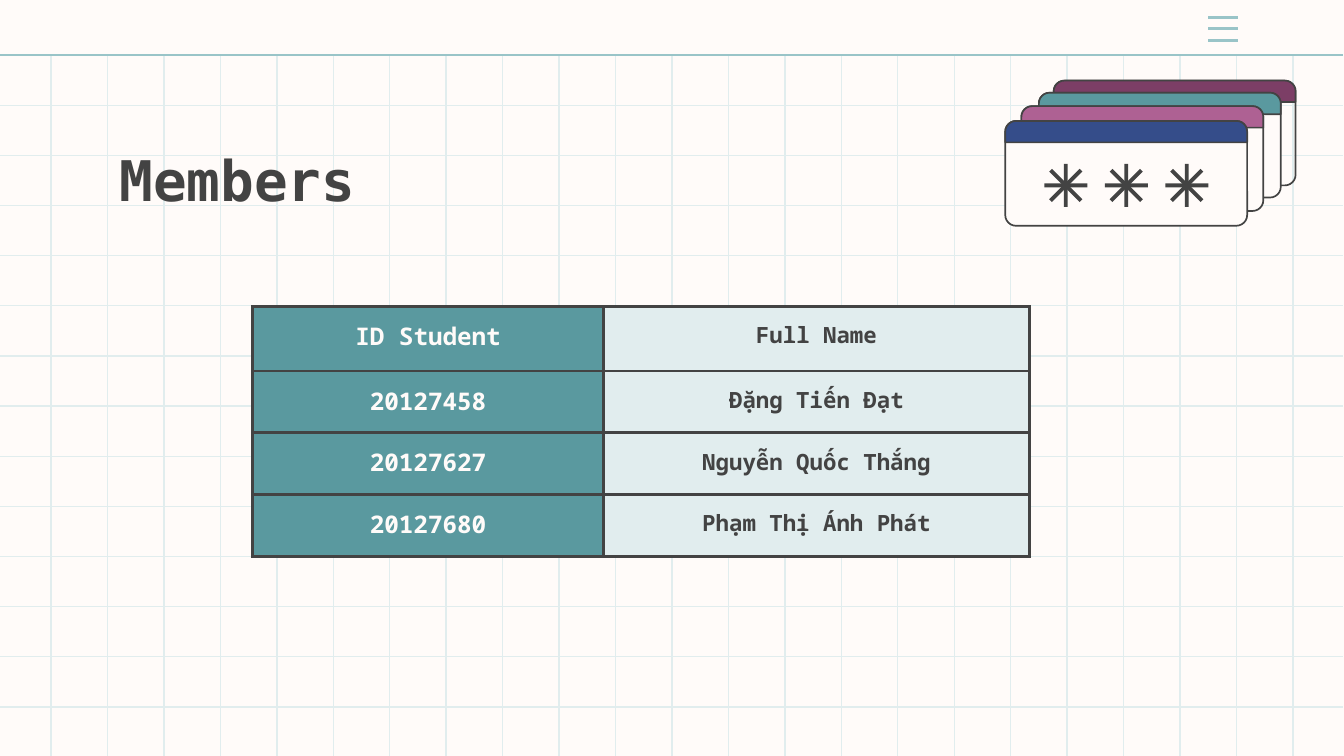
from dataclasses import dataclass

from lxml.etree import SubElement
from pptx import Presentation
from pptx.dml.color import RGBColor
from pptx.enum.shapes import MSO_CONNECTOR, MSO_SHAPE
from pptx.enum.text import MSO_ANCHOR, PP_ALIGN
from pptx.oxml import parse_xml
from pptx.oxml.ns import nsdecls, qn
from pptx.util import Inches, Pt


@dataclass(frozen=True)
class Theme:
    cream: str = "FFFBF9"
    ink: str = "434343"
    grid: str = "E1EDEE"
    accent: str = "99C4C8"
    teal: str = "5A999F"
    plum: str = "7C3E66"
    pink: str = "AE6193"
    navy: str = "354D8A"
    title_font: str = "DejaVu Sans Mono"
    table_font: str = "Noto Sans Mono"
    title_size: int = 30
    id_size: int = 13
    name_size: int = 12
    grid_width: float = 0.75
    accent_width: float = 1.5
    card_width: float = 0.9
    border_width: float = 1.5


THEME = Theme()

MEMBERS = [
    ("ID Student", "Full Name"),
    ("20127458", "Đặng Tiến Đạt"),
    ("20127627", "Nguyễn Quốc Thắng"),
    ("20127680", "Phạm Thị Ánh Phát"),
]


def color(value):
    return RGBColor.from_string(value)


def add_line(slide, start, end, line_color, width):
    points = [Inches(value) for value in (*start, *end)]
    connector = slide.shapes.add_connector(MSO_CONNECTOR.STRAIGHT, *points)
    connector.line.color.rgb = color(line_color)
    connector.line.width = Pt(width)
    SubElement(connector.element.spPr, qn("a:effectLst"))


def add_run(paragraph, text, font, size, text_color):
    run = paragraph.add_run()
    run.text = text
    run.font.name = font
    run.font.size = Pt(size)
    run.font.bold = True
    run.font.color.rgb = color(text_color)


def add_figure(slide, kind, box, fill, outlined=False):
    """Add a preset shape; a fill of None leaves it open."""
    shape = slide.shapes.add_shape(kind, *[Inches(value) for value in box])
    shape.shadow.inherit = False
    if fill:
        shape.fill.solid()
        shape.fill.fore_color.rgb = color(fill)
    else:
        shape.fill.background()
    if outlined:
        shape.line.color.rgb = color(THEME.ink)
        shape.line.width = Pt(THEME.card_width)
    else:
        shape.line.fill.background()
    return shape


def add_grid(slide):
    top, bottom, right = 0.41, 5.64, 9.99
    for column in range(23):
        x = 0.38 + 0.42 * column
        add_line(slide, (x, top), (x, bottom), THEME.grid, THEME.grid_width)
    row_step = (5.26 - top) / 13
    add_line(slide, (right, top), (0, top), THEME.accent, THEME.accent_width)
    for row in range(1, 14):
        y = top + row_step * row
        add_line(slide, (right, y), (0, y), THEME.grid, THEME.grid_width)


def add_menu_icon(slide):
    for y in (0.13, 0.21, 0.3):
        add_line(slide, (8.99, y), (9.21, y), THEME.accent, THEME.accent_width)


def add_title(slide, text):
    box = slide.shapes.add_textbox(Inches(0.79), Inches(0.98), Inches(3.69), Inches(0.63))
    frame = box.text_frame
    frame.word_wrap = True
    frame.vertical_anchor = MSO_ANCHOR.TOP
    frame.margin_left = frame.margin_right = Inches(0.1)
    frame.margin_top = frame.margin_bottom = Inches(0.1)
    add_run(frame.paragraphs[0], text, THEME.title_font, THEME.title_size, THEME.ink)


def set_borders(cell):
    properties = cell._tc.get_or_add_tcPr()
    for index, side in enumerate(("lnL", "lnR", "lnT", "lnB")):
        border = parse_xml(
            f'<a:{side} {nsdecls("a")} w="{Pt(THEME.border_width)}">'
            f'<a:solidFill><a:srgbClr val="{THEME.ink}"/></a:solidFill></a:{side}>'
        )
        properties.insert(index, border)


def fill_cell(cell, text, size, text_color, fill):
    cell.fill.solid()
    cell.fill.fore_color.rgb = color(fill)
    cell.margin_left = cell.margin_right = Inches(0.1)
    cell.margin_top = cell.margin_bottom = Inches(0.1)
    cell.vertical_anchor = MSO_ANCHOR.TOP
    paragraph = cell.text_frame.paragraphs[0]
    paragraph.alignment = PP_ALIGN.CENTER
    add_run(paragraph, text, THEME.table_font, size, text_color)
    set_borders(cell)


def add_members_table(slide):
    widths, heights = (2.61, 3.17), (0.48, 0.46, 0.46, 0.46)
    styles = [
        (THEME.id_size, THEME.cream, THEME.teal),
        (THEME.name_size, THEME.ink, THEME.grid),
    ]
    table = slide.shapes.add_table(
        len(MEMBERS), len(widths), Inches(1.88), Inches(2.28),
        Inches(sum(widths)), Inches(sum(heights)),
    ).table
    for column, width in zip(table.columns, widths):
        column.width = Inches(width)
    for row, height, member in zip(table.rows, heights, MEMBERS):
        row.height = Inches(height)
        for cell, text, style in zip(row.cells, member, styles):
            fill_cell(cell, text, *style)


def add_card(slide, left, top, header_fill, body_fill):
    """Add a window card: a rounded body under a coloured header bar."""
    width, height, header_height, radius = 1.8, 0.78, 0.16, 0.08
    body = add_figure(slide, MSO_SHAPE.ROUNDED_RECTANGLE,
                      (left, top, width, height), body_fill, outlined=True)
    body.adjustments[0] = radius / height
    header = add_figure(slide, MSO_SHAPE.ROUND_2_SAME_RECTANGLE,
                        (left, top, width, header_height), header_fill, outlined=True)
    header.adjustments[0] = radius / header_height


def add_asterisk(slide, left, top):
    for rotation in (0, 45):
        bar_cross = add_figure(slide, MSO_SHAPE.CROSS, (left, top, 0.32, 0.32), THEME.ink)
        bar_cross.adjustments[0] = 0.454
        bar_cross.rotation = rotation


def add_card_stack(slide):
    add_card(slide, 7.84, 0.6, THEME.plum, None)
    add_card(slide, 7.73, 0.69, THEME.teal, THEME.cream)
    add_card(slide, 7.6, 0.79, THEME.pink, THEME.cream)
    add_card(slide, 7.48, 0.9, THEME.navy, THEME.cream)
    for index in range(3):
        add_asterisk(slide, 7.77 + 0.45 * index, 1.22)


def main():
    presentation = Presentation()
    presentation.slide_width = Inches(10)
    presentation.slide_height = Inches(10 * 9 / 16)
    slide = presentation.slides.add_slide(presentation.slide_layouts[6])
    slide.background.fill.solid()
    slide.background.fill.fore_color.rgb = color(THEME.cream)
    add_grid(slide)
    add_menu_icon(slide)
    add_title(slide, "Members")
    add_members_table(slide)
    add_card_stack(slide)
    presentation.save("out.pptx")


if __name__ == "__main__":
    main()
